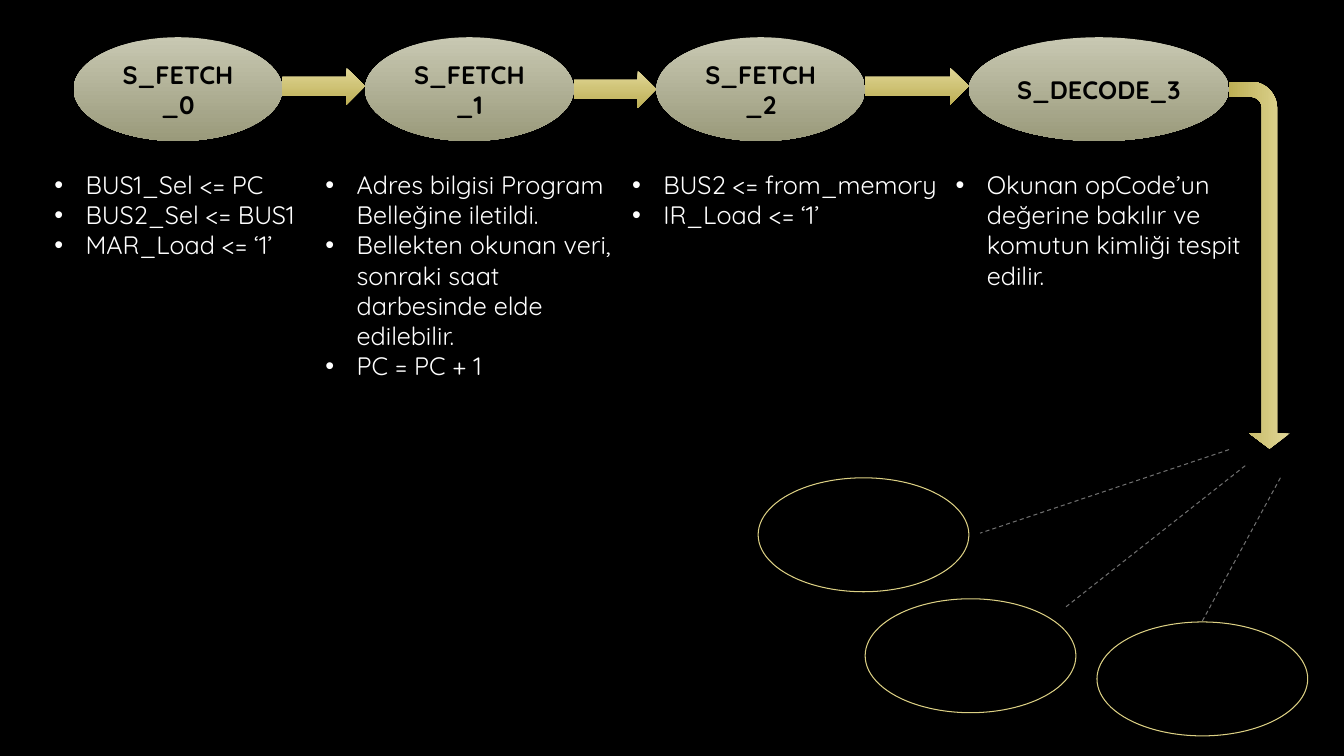
import pptx
import pptx.dml.color
import pptx.enum.dml
import pptx.enum.shapes
import pptx.enum.text
import pptx.oxml.ns
import pptx.util
from lxml import etree

RGBColor = pptx.dml.color.RGBColor
Shape = pptx.enum.shapes.MSO_SHAPE
qn = pptx.oxml.ns.qn

BLACK = RGBColor(0x00, 0x00, 0x00)
WHITE = RGBColor(0xFF, 0xFF, 0xFF)
GREY = RGBColor(0x6F, 0x6F, 0x6F)
YELLOW = RGBColor(0xDC, 0xD0, 0x84)
SAGE = (RGBColor(0xC8, 0xC8, 0xB2), RGBColor(0x9A, 0x9A, 0x7B))
GOLD = (RGBColor(0xE1, 0xD7, 0x97), RGBColor(0xBD, 0xAF, 0x55))

presentation = pptx.Presentation()
presentation.slide_width = pptx.util.Inches(13.33)
presentation.slide_height = pptx.util.Inches(7.5)
slide = presentation.slides.add_slide(presentation.slide_layouts[6])
slide.background.fill.solid()
slide.background.fill.fore_color.rgb = BLACK


def place(*shares):
    """Turn percentages of slide width and height, in turn, into lengths."""
    sides = (presentation.slide_width, presentation.slide_height) * 2
    return [round(side * share / 100) for side, share in zip(sides, shares)]


def add_filled_shape(kind, box, colors=None):
    """Add a shape with a vertical gradient, or a hollow one with an outline."""
    shape = slide.shapes.add_shape(kind, *place(*box))
    shape.shadow.inherit = False
    if colors:
        shape.fill.gradient()
        shape.fill.gradient_angle = 270
        for stop, color in zip(shape.fill.gradient_stops, colors):
            stop.color.rgb = color
        shape.line.fill.background()
    else:
        shape.fill.background()
        shape.line.color.rgb = YELLOW
        shape.line.width = pptx.util.Pt(0.75)
    return shape


# States in the top row: name, left, width
FETCH_LEFT, FETCH_PITCH, FETCH_WIDTH = 5.48, 21.68, 15.53
STATE_TOP, STATE_HEIGHT = 4.93, 13.73
states = [(f"S_FETCH_{i}", FETCH_LEFT + i * FETCH_PITCH, FETCH_WIDTH) for i in range(3)]
states.append(("S_DECODE_3", 72.09, 19.35))
state_font = {"name": "Quicksand", "size": pptx.util.Pt(18), "bold": True}
for name, left, width in states:
    state = add_filled_shape(Shape.OVAL, (left, STATE_TOP, width, STATE_HEIGHT), SAGE)
    state.text_frame.word_wrap = True
    state.text_frame.vertical_anchor = pptx.enum.text.MSO_ANCHOR.MIDDLE
    paragraph = state.text_frame.paragraphs[0]
    paragraph.alignment = pptx.enum.text.PP_ALIGN.CENTER
    run = paragraph.add_run()
    run.text = name
    for key, value in state_font.items():
        setattr(run.font, key, value)
    run.font.color.rgb = BLACK

# Actions below the states: left, width, height, bullets
ACTION_TOP = 21.73
actions = [
    (3.3, 19.95, 17.47, ["BUS1_Sel <= PC", "BUS2_Sel <= BUS1", "MAR_Load <= ‘1’"]),
    (23.48, 22.8, 33.6, [
        "Adres bilgisi Program Belleğine iletildi.",
        "Bellekten okunan veri, sonraki saat darbesinde elde edilebilir.",
        "PC = PC + 1",
    ]),
    (46.29, 25.73, 13.47, ["BUS2 <= from_memory", "IR_Load <= ‘1’"]),
    (70.37, 22.8, 21.6, [
        "Okunan opCode’un değerine bakılır ve komutun kimliği tespit edilir.",
    ]),
]
action_font = {"name": "Quicksand", "size": pptx.util.Pt(18)}
indent = pptx.util.Inches(0.31)
for left, width, height, bullets in actions:
    box = slide.shapes.add_textbox(*place(left, ACTION_TOP, width, height))
    frame = box.text_frame
    frame.word_wrap = True
    frame.auto_size = pptx.enum.text.MSO_AUTO_SIZE.SHAPE_TO_FIT_TEXT
    for index, text in enumerate(bullets):
        paragraph = frame.add_paragraph() if index else frame.paragraphs[0]
        run = paragraph.add_run()
        run.text = text
        for key, value in action_font.items():
            setattr(run.font, key, value)
        run.font.color.rgb = WHITE
        properties = paragraph._p.get_or_add_pPr()
        properties.set("marL", str(indent))
        properties.set("indent", str(-indent))
        etree.SubElement(properties, qn("a:buFont"), typeface="Arial")
        etree.SubElement(properties, qn("a:buChar"), char="•")

# Block arrows fill the gaps between neighbouring states
for before, after, top in zip(states, states[1:], (8.93, 9.33, 8.93)):
    start = before[1] + before[2]
    add_filled_shape(Shape.RIGHT_ARROW, (start, top, after[1] - start, 4.93), GOLD)

decode_arrow = add_filled_shape(Shape.BENT_ARROW, (80.05, 31.07, 27.31, 8), GOLD)
decode_arrow.rotation = 90
for index, value in enumerate((0.25, 0.333, 0.25, 0.438)):
    decode_arrow.adjustments[index] = value

# Branches from the decode arrow to the empty states
branches = [
    (91.45, 59.47, 72.92, 70.53),
    (95.27, 63.2, 89.42, 82.27),
    (92.65, 61.6, 79.22, 80.4),
]
for ends in branches:
    branch = slide.shapes.add_connector(
        pptx.enum.shapes.MSO_CONNECTOR.STRAIGHT, *place(*ends))
    branch.line.color.rgb = GREY
    branch.line.width = pptx.util.Pt(0.75)
    branch.line.dash_style = pptx.enum.dml.MSO_LINE.DASH
    etree.SubElement(branch._element.spPr, qn("a:effectLst"))

for left, top in ((56.41, 63.2), (64.37, 79.2), (81.62, 82.27)):
    add_filled_shape(Shape.OVAL, (left, top, 15.68, 15.07))

presentation.save("out.pptx")
